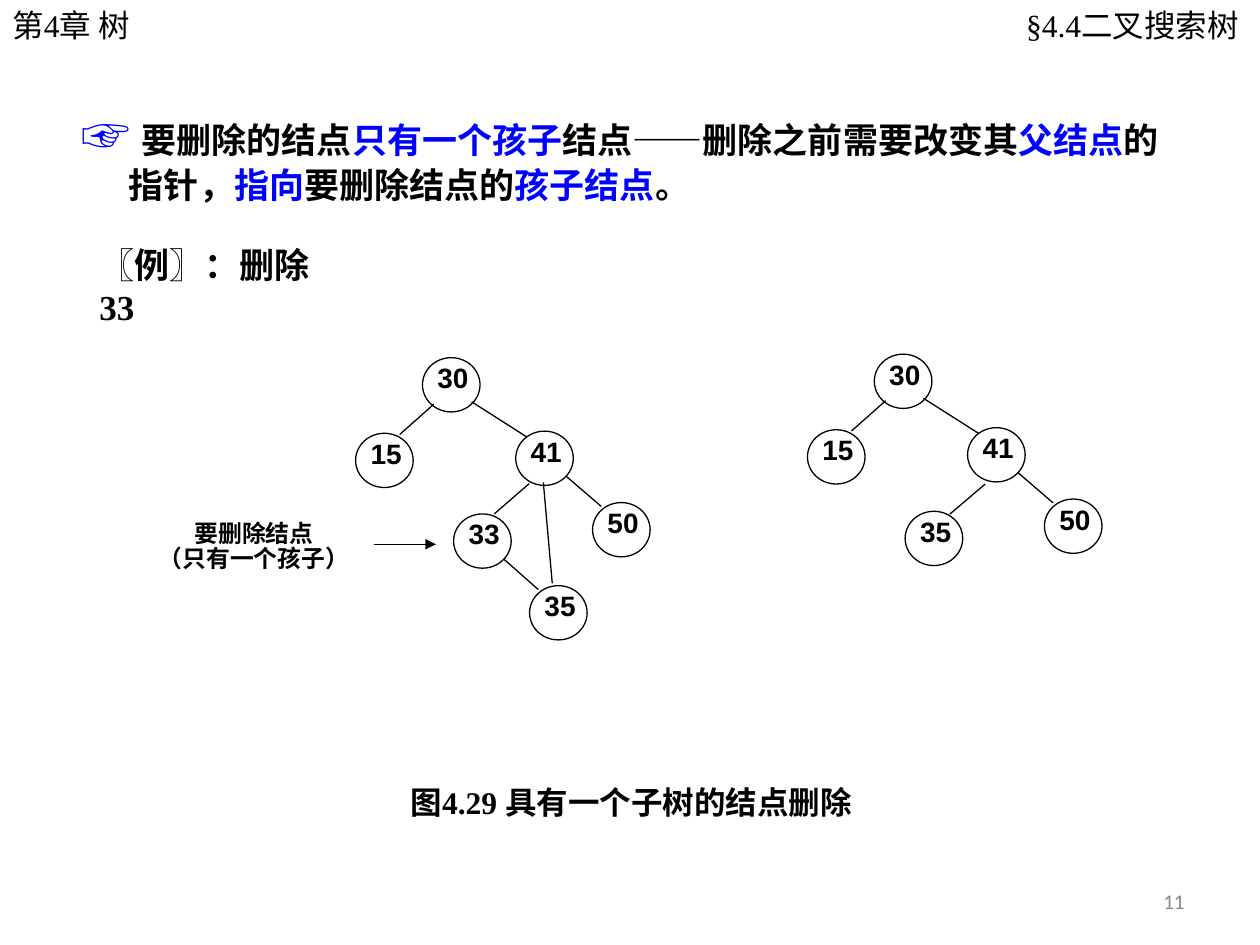
from pptx import Presentation
from pptx.util import Pt
from pptx.dml.color import RGBColor
from pptx.enum import shapes, text
from pptx.oxml import ns
from lxml import etree

BLACK = RGBColor(0, 0, 0)
WHITE = RGBColor(255, 255, 255)
BLUE = RGBColor(0, 0, 255)
GREY = RGBColor(0x89, 0x89, 0x89)
TIMES, ARIAL, NOTO = "Times New Roman", "Arial", "Noto Sans CJK SC"
LEFT, MID, RIGHT = text.PP_ALIGN.LEFT, text.PP_ALIGN.CENTER, text.PP_ALIGN.RIGHT

HEADS = [
    ("第4章 树", (0, 0, 150.5, 28.8), LEFT, (7.2, 7.2)),
    ("§4.4二叉搜索树", (445, 0, 274.3, 28.8), RIGHT, (8.64, 11.52)),
]
RULE = [
    ("要删除的结点", BLACK),
    ("只有一个孩子", BLUE),
    ("结点——删除之前需要改变其", BLACK),
    ("父结点", BLUE),
    ("的指针，", BLACK),
    ("指向", BLUE),
    ("要删除结点的", BLACK),
    ("孩子结点", BLUE),
    ("。", BLACK),
]
NOTE = [("要删除结点", NOTO), ("（只有一个孩子）", ARIAL)]

NODES = [("30", 0, 0), ("15", -38.2, 43.2), ("41", 53.3, 42), ("50", 97.2, 82.8)]
EDGES = [
    (28.1, 25.2, 59.8, 45.4),
    (6.5, 26.6, -13, 43.9),
    (82.1, 67.7, 102.2, 85),
]
TREES = [
    ((241.4, 204.4),
     NODES + [("33", 17.8, 89.3), ("35", 61.2, 130.3)],
     EDGES + [(61, 72, 41, 89.3), (46.6, 115.2, 66.2, 132.5),
              (69.1, 71.3, 74.2, 128.9)]),
    ((499.6, 202.4),
     NODES + [("35", 17.6, 89.8)],
     EDGES + [(63.4, 74.2, 43.2, 91.4)]),
]


def add_run(para, words, size, font, color=BLACK, bold=True):
    run = para.add_run()
    run.text = words
    face = run.font
    face.size, face.name, face.bold = Pt(size), font, bold
    face.color.rgb = color
    if not words.startswith("☞"):
        east = etree.SubElement(face._element, ns.qn("a:ea"))
        east.set("typeface", NOTO)


def add_box(spot, side=(7.2, 7.2), top=3.6, wrap=True):
    box = slide.shapes.add_textbox(*map(Pt, spot))
    frame = box.text_frame
    frame.word_wrap = wrap
    frame.margin_left, frame.margin_right = map(Pt, side)
    frame.margin_top = frame.margin_bottom = Pt(top)
    return frame


def add_line(x1, y1, x2, y2, arrow=False):
    line = slide.shapes.add_connector(
        shapes.MSO_CONNECTOR.STRAIGHT, Pt(x1), Pt(y1), Pt(x2), Pt(y2))
    line.line.width = Pt(0.75)
    line.line.color.rgb = BLACK
    if arrow:
        tip = etree.SubElement(line.line._get_or_add_ln(), ns.qn("a:tailEnd"))
        tip.set("type", "triangle")
    etree.SubElement(line._element.spPr, ns.qn("a:effectLst"))


def add_node(key, x, y):
    ring = slide.shapes.add_shape(
        shapes.MSO_SHAPE.OVAL, Pt(x), Pt(y), Pt(32.9), Pt(31))
    ring.shadow.inherit = False
    ring.fill.solid()
    ring.fill.fore_color.rgb = WHITE
    ring.line.color.rgb = BLACK
    ring.line.width = Pt(0.75)
    para = add_box((x + 8.4, y + 4.5, 18, 18), (0, 0), 0, False).paragraphs[0]
    para.alignment = MID
    para.line_spacing = 0.86
    add_run(para, key, 16, ARIAL)


deck = Presentation()
deck.slide_width, deck.slide_height = Pt(720), Pt(540)
slide = deck.slides.add_slide(deck.slide_layouts[6])

for words, spot, align, side in HEADS:
    para = add_box(spot, side).paragraphs[0]
    para.alignment = align
    add_run(para, words, 18, TIMES, bold=False)

para = add_box((39.6, 56.2, 641.5, 64.8)).paragraphs[0]
props = para._p.get_or_add_pPr()
props.set("marL", str(Pt(27)))
props.set("indent", str(Pt(-27)))
add_run(para, "☞ ", 28, ARIAL, BLUE)
for words, color in RULE:
    add_run(para, words, 20, TIMES, color)

para = add_box((49.7, 135.4, 152.6, 31.7)).paragraphs[0]
add_run(para, "〖例〗：删除 33", 20, TIMES)

frame = add_box((78.5, 298, 133.2, 34.6), (0, 0), 0)
for i, (words, font) in enumerate(NOTE):
    para = frame.add_paragraph() if i else frame.paragraphs[0]
    para.alignment = MID
    para.line_spacing = 0.9
    add_run(para, words, 13.6, font)
add_line(213.8, 311, 249.1, 311, True)

for (left, top), nodes, edges in TREES:
    for key, x, y in nodes:
        add_node(key, left + x, top + y)
    for x1, y1, x2, y2 in edges:
        add_line(left + x1, top + y1, left + x2, top + y2)

para = add_box((227.5, 444.2, 275, 28.8), wrap=False).paragraphs[0]
add_run(para, "图4.29 具有一个子树的结点删除", 18, TIMES)

frame = add_box((516.2, 500.4, 167.8, 28.8))
frame.vertical_anchor = text.MSO_ANCHOR.MIDDLE
para = frame.paragraphs[0]
para.alignment = RIGHT
add_run(para, "11", 12, "Calibri", GREY, False)

deck.save("out.pptx")
